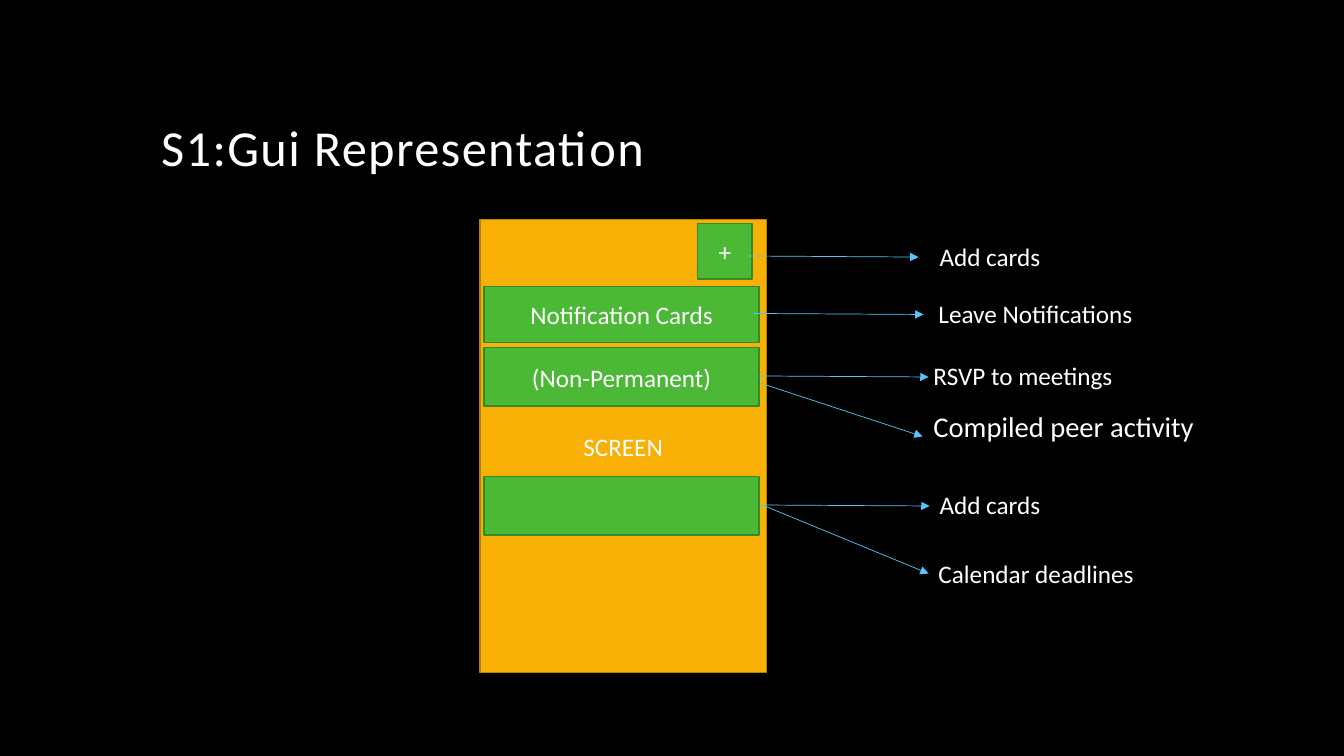
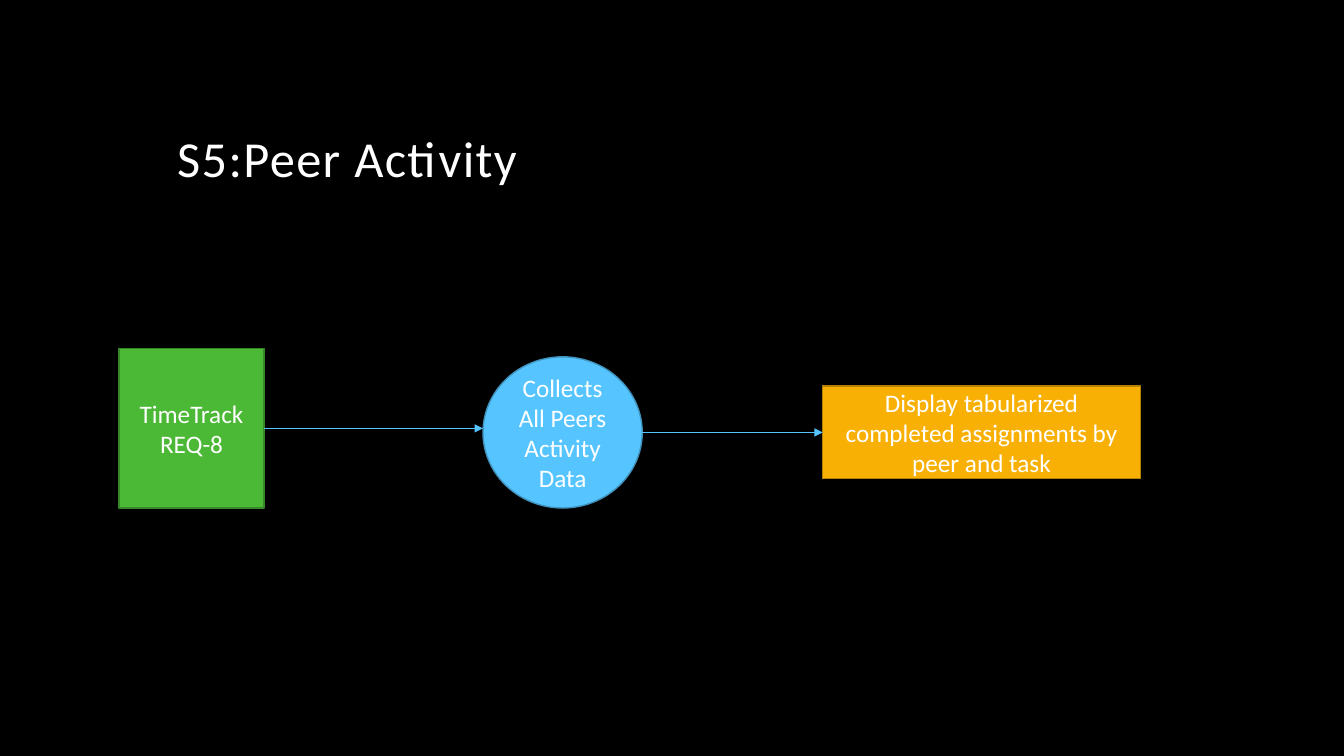
import pptx
import pptx.dml.color
import pptx.enum.shapes
import pptx.enum.text
import pptx.oxml
import pptx.oxml.ns
import pptx.util
from pptx.util import Inches

SHAPES = pptx.enum.shapes.MSO_SHAPE
ALIGN = pptx.enum.text.PP_ALIGN
ANCHOR = pptx.enum.text.MSO_ANCHOR

# Shared look
FONT = "Calibri"
BLACK, WHITE = "000000", "FFFFFF"
ORANGE = ("F8B004", "B78203")  # fill, outline
GREEN = ("4BB836", "378828")
BLUE = ("56C5FF", "4092BD")

# Slide 1: phone screen, its cards, and what each card leads to
SCREEN = ("SCREEN", 4.76, 2.18, 2.84, 4.49)
CARD_LEFT, CARD_WIDTH = 4.8, 2.73
CARDS = [  # text, top, height
    ("Notification Cards", 2.84, 0.56),
    ("(Non-Permanent)", 3.45, 0.58),
    ("", 4.73, 0.58),
]
ADD_BUTTON = ("+", 6.92, 2.22, 0.54, 0.55)
CALLOUTS = [  # text, left, top, arrow start, arrow end
    ("Add cards", 9.22, 2.34, (7.43, 2.54), (9.11, 2.55)),
    ("Leave Notifications", 9.21, 2.91, (7.48, 3.11), (9.16, 3.12)),
    ("RSVP to meetings", 9.16, 3.53, (7.53, 3.73), (9.21, 3.74)),
    ("Compiled peer activity", 9.16, 4.07, (7.54, 3.8), (9.15, 4.33)),
    ("Add cards", 9.22, 4.81, (7.54, 5.01), (9.22, 5.02)),
    ("Calendar deadlines", 9.21, 5.49, (7.56, 5.01), (9.21, 5.69)),
]
CALLOUT_FORMATS = {"Compiled peer activity": {"size": 20.4, "line_spacing": 0.8}}

# Slide 2: steps from left to right
STEPS = [  # text, left, top, width, height, outline, colours
    ("TimeTrack\nREQ-8", 1.18, 3.46, 1.44, 1.58, SHAPES.RECTANGLE, GREEN),
    ("Collects All Peers Activity Data", 4.79, 3.54, 1.58, 1.5, SHAPES.OVAL, BLUE),
    ("Display tabularized completed assignments by peer and task",
     8.16, 3.83, 3.15, 0.92, SHAPES.RECTANGLE, ORANGE),
]


def color(value):
    return pptx.dml.color.RGBColor.from_string(value)


def write_text(shape, text, size=18, align=ALIGN.LEFT, anchor=ANCHOR.TOP,
               line_spacing=1.0, letter_spacing=0):
    frame = shape.text_frame
    frame.word_wrap = True
    frame.vertical_anchor = anchor
    frame.text = text
    for paragraph in frame.paragraphs:
        paragraph.alignment = align
        paragraph.line_spacing = line_spacing
        for run in paragraph.runs:
            run.font.name = FONT
            run.font.size = pptx.util.Pt(size)
            run.font.color.rgb = color(WHITE)
            if letter_spacing:
                run.font._element.set("spc", str(letter_spacing * 100))


def add_text(slide, text, left, top, width, height, **text_format):
    box = slide.shapes.add_textbox(*map(Inches, (left, top, width, height)))
    write_text(box, text, **text_format)


def add_box(slide, text, left, top, width, height, outline=SHAPES.RECTANGLE, colors=GREEN):
    shape = slide.shapes.add_shape(outline, *map(Inches, (left, top, width, height)))
    shape.shadow.inherit = False
    fill, line = colors
    shape.fill.solid()
    shape.fill.fore_color.rgb = color(fill)
    shape.line.color.rgb = color(line)
    shape.line.width = pptx.util.Pt(1)
    if text:
        write_text(shape, text, align=ALIGN.CENTER, anchor=ANCHOR.MIDDLE)


def add_arrow(slide, start, end):
    arrow = slide.shapes.add_connector(
        pptx.enum.shapes.MSO_CONNECTOR.STRAIGHT, *map(Inches, (*start, *end)))
    arrow.line.color.rgb = color(BLUE[0])
    arrow.line.width = pptx.util.Pt(0.5)
    line = arrow.line._get_or_add_ln()
    namespace = pptx.oxml.ns.nsdecls("a")
    line.append(pptx.oxml.parse_xml(f'<a:tailEnd {namespace} type="triangle"/>'))
    line.addnext(pptx.oxml.parse_xml(f"<a:effectLst {namespace}/>"))


def add_slide(presentation, title, left, top):
    slide = presentation.slides.add_slide(presentation.slide_layouts[6])
    slide.background.fill.solid()
    slide.background.fill.fore_color.rgb = color(BLACK)
    add_text(slide, title, left, top, 10, 1.5, size=36, anchor=ANCHOR.BOTTOM,
             line_spacing=0.9, letter_spacing=1)
    return slide


def build_screen_slide(presentation):
    slide = add_slide(presentation, "S1:Gui Representation", 1.5, 0.31)
    add_box(slide, *SCREEN, colors=ORANGE)
    for text, top, height in CARDS:
        add_box(slide, text, CARD_LEFT, top, CARD_WIDTH, height)
    add_box(slide, *ADD_BUTTON)
    for text, left, top, start, end in CALLOUTS:
        add_arrow(slide, start, end)
        add_text(slide, text, left, top, 3, 0.4, **CALLOUT_FORMATS.get(text, {}))


def build_flow_slide(presentation):
    slide = add_slide(presentation, "S5:Peer Activity", 1.66, 0.42)
    for step in STEPS:
        add_box(slide, *step)
    # Each arrow leaves the middle of a step's right side
    for step, following in zip(STEPS, STEPS[1:]):
        _, left, top, width, height, *_ = step
        middle = top + height / 2
        add_arrow(slide, (left + width, middle), (following[1], middle))


def main():
    presentation = pptx.Presentation()
    presentation.slide_width = Inches(13.33)
    presentation.slide_height = Inches(7.5)
    build_screen_slide(presentation)
    build_flow_slide(presentation)
    presentation.save("out.pptx")


if __name__ == "__main__":
    main()
